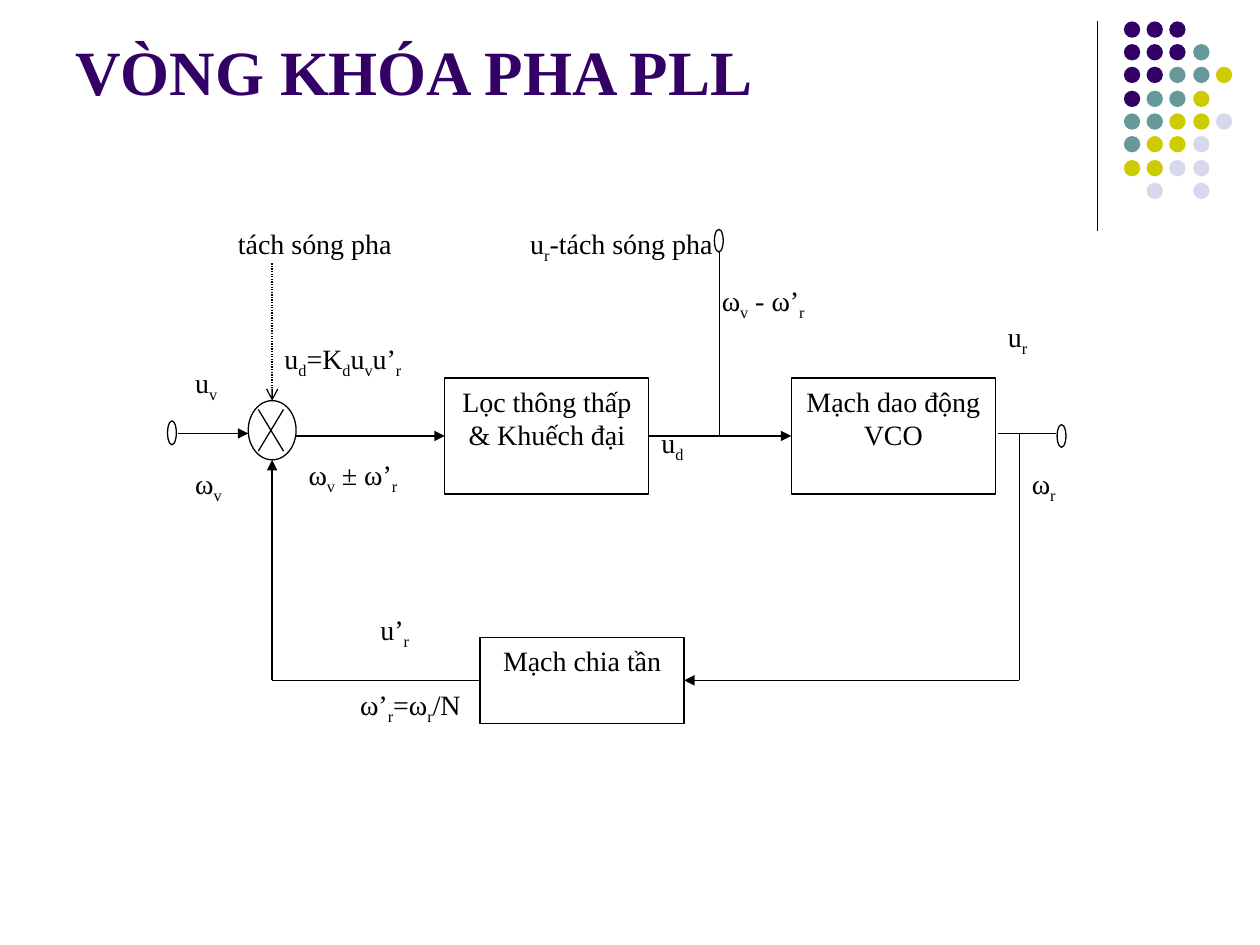
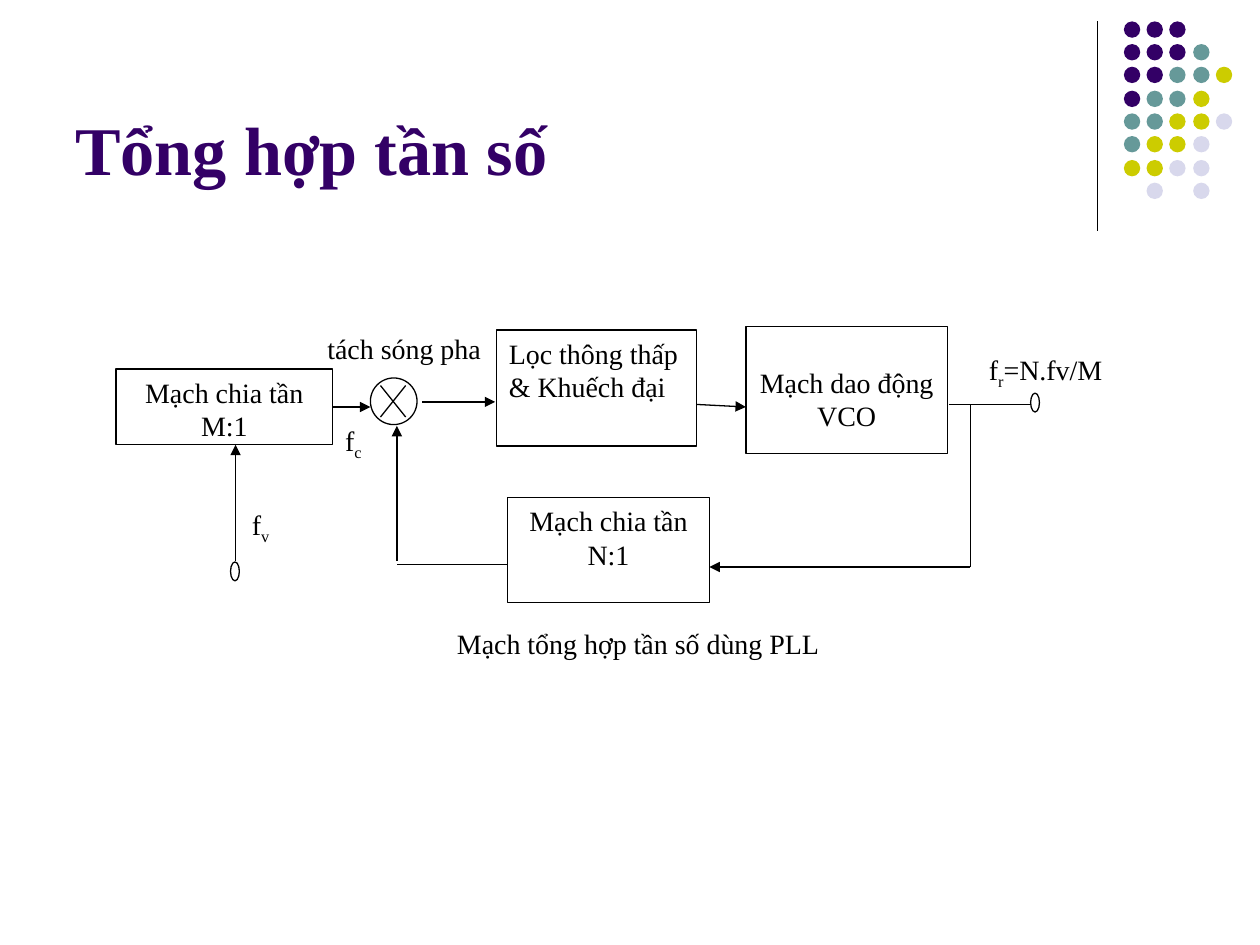
from dataclasses import dataclass
from typing import Any, NamedTuple, Optional

import lxml.etree
import pptx
import pptx.dml.color
import pptx.enum.dml
import pptx.enum.shapes
import pptx.enum.text
import pptx.oxml.ns
import pptx.util

EMU_PER_PX = 9144
SHAPE = pptx.enum.shapes.MSO_SHAPE
ALIGN = pptx.enum.text.PP_ALIGN
ANCHOR = pptx.enum.text.MSO_ANCHOR
TOP, LEFT, BOTTOM, RIGHT = range(4)


@dataclass(frozen=True)
class Theme:
    font: str = "Times New Roman"
    title: str = "330066"
    ink: str = "000000"
    paper: str = "FFFFFF"
    teal: str = "669999"
    lime: str = "CCCC00"
    lavender: str = "D8D8EC"
    body_size: int = 16
    line_width: float = 0.75


THEME = Theme()
DOT_ROWS = ("PPP", "PPPT", "PPTTY", "PTTY", "TTYYL", "TYYL", "YYLL", ".L.L")
DOT_COLOURS = {"P": THEME.title, "T": THEME.teal, "Y": THEME.lime, "L": THEME.lavender}


class Rect(NamedTuple):
    x: int
    y: int
    w: int
    h: int


class Title(NamedTuple):
    rect: Rect
    text: str
    size: int


class Block(NamedTuple):
    name: str
    rect: Rect
    lines: tuple[str, ...]
    align: Any = ALIGN.CENTER
    inset_top: int = 5
    filled: bool = True


class Label(NamedTuple):
    rect: Rect
    text: str
    align: Any = ALIGN.LEFT


class Joint(NamedTuple):
    block: str
    side: int


class Wire(NamedTuple):
    x1: int
    y1: int
    x2: int
    y2: int
    arrow: str = ""
    dotted: bool = False
    start: Optional[Joint] = None
    end: Optional[Joint] = None


class Diagram(NamedTuple):
    title: Title
    blocks: tuple[Block, ...]
    mixer: Rect
    terminals: tuple[Rect, ...]
    wires: tuple[Wire, ...]
    labels: tuple[Label, ...]


def px(n: int) -> int:
    return pptx.util.Emu(n * EMU_PER_PX)


def emu(rect: Rect) -> tuple[int, ...]:
    return tuple(px(n) for n in rect)


def rgb(value: str) -> pptx.dml.color.RGBColor:
    return pptx.dml.color.RGBColor.from_string(value)


def apply(obj: Any, values: dict[str, Any]) -> None:
    for name, value in values.items():
        setattr(obj, name, value)


def draw_line(line: Any) -> None:
    line.color.rgb = rgb(THEME.ink)
    line.width = pptx.util.Pt(THEME.line_width)


def add_runs(p: Any, text: str, size: int, colour: str, bold: bool) -> None:
    first, *rest = text.split("_")
    pieces = [(first, False)]
    for part in rest:
        pieces += [(part[0], True), (part[1:], False)]
    for piece, lowered in pieces:
        if not piece:
            continue
        r = p.add_run()
        r.text = piece
        apply(r.font, {"name": THEME.font, "size": pptx.util.Pt(size), "bold": bold})
        r.font.color.rgb = rgb(colour)
        if lowered:
            r._r.get_or_add_rPr().set("baseline", "-25000")


def write(sp: Any, lines: tuple[str, ...], align: Any, anchor: Any = ANCHOR.TOP,
          inset_top: int = 5, size: int = THEME.body_size,
          colour: str = THEME.ink, bold: bool = False) -> None:
    tf = sp.text_frame
    apply(tf, {"word_wrap": True, "vertical_anchor": anchor,
               "margin_left": px(10), "margin_right": px(10),
               "margin_top": px(inset_top), "margin_bottom": px(5)})
    for i, text in enumerate(lines):
        p = tf.add_paragraph() if i else tf.paragraphs[0]
        p.alignment = align
        add_runs(p, text, size, colour, bold)


def add_shape(s: Any, kind: Any, rect: Rect, fill: str = "", outlined: bool = True) -> Any:
    sp = s.shapes.add_shape(kind, *emu(rect))
    sp.shadow.inherit = False
    if fill:
        sp.fill.solid()
        sp.fill.fore_color.rgb = rgb(fill)
    else:
        sp.fill.background()
    if outlined:
        draw_line(sp.line)
    else:
        sp.line.fill.background()
    return sp


def add_wire(s: Any, wire: Wire, blocks: dict[str, Any]) -> None:
    c = s.shapes.add_connector(pptx.enum.shapes.MSO_CONNECTOR.STRAIGHT,
                               px(wire.x1), px(wire.y1), px(wire.x2), px(wire.y2))
    draw_line(c.line)
    if wire.dotted:
        c.line.dash_style = pptx.enum.dml.MSO_LINE.ROUND_DOT
    qn = pptx.oxml.ns.qn
    sp_pr = c._element.spPr
    if wire.arrow:
        lxml.etree.SubElement(sp_pr.find(qn("a:ln")), qn("a:tailEnd"), type=wire.arrow)
    lxml.etree.SubElement(sp_pr, qn("a:effectLst"))
    if wire.start:
        c.begin_connect(blocks[wire.start.block], wire.start.side)
    if wire.end:
        c.end_connect(blocks[wire.end.block], wire.end.side)


def add_mixer(s: Any, rect: Rect) -> None:
    add_shape(s, SHAPE.OVAL, rect, THEME.paper)
    left, right = rect.x + 8, rect.x + 28
    top, bottom = rect.y + rect.h // 6, rect.y + rect.h - rect.h // 6
    add_wire(s, Wire(left, top, right, bottom), {})
    add_wire(s, Wire(left, bottom, right, top), {})


def add_decoration(s: Any) -> None:
    add_wire(s, Wire(871, 17, 871, 183), {})
    for row, codes in enumerate(DOT_ROWS):
        for col, code in enumerate(codes):
            if code in DOT_COLOURS:
                dot = Rect(892 + 55 * col // 3, 17 + 55 * row // 3, 13, 13)
                add_shape(s, SHAPE.OVAL, dot, DOT_COLOURS[code], outlined=False)


def add_diagram(prs: Any, d: Diagram) -> None:
    s = prs.slides.add_slide(prs.slide_layouts[6])
    add_decoration(s)
    write(s.shapes.add_textbox(*emu(d.title.rect)), (d.title.text,), ALIGN.LEFT,
          ANCHOR.BOTTOM, size=d.title.size, colour=THEME.title, bold=True)
    blocks = {}
    for b in d.blocks:
        sp = add_shape(s, SHAPE.RECTANGLE, b.rect, THEME.paper if b.filled else "")
        write(sp, b.lines, b.align, inset_top=b.inset_top)
        blocks[b.name] = sp
    add_mixer(s, d.mixer)
    for terminal in d.terminals:
        add_shape(s, SHAPE.FLOWCHART_CONNECTOR, terminal, THEME.paper)
    for wire in d.wires:
        add_wire(s, wire, blocks)
    for label in d.labels:
        write(s.shapes.add_textbox(*emu(label.rect)), (label.text,), label.align)


FILTER_TEXT = ("Lọc thông thấp", "& Khuếch đại")
VCO_TEXT = ("Mạch dao động", "VCO")
DIVIDER_TEXT = "Mạch chia tần"
DETECTOR_TEXT = "tách sóng pha"

PLL = Diagram(
    title=Title(Rect(50, 38, 825, 53), "VÒNG KHÓA PHA PLL", 36),
    blocks=(
        Block("filter", Rect(353, 300, 162, 92), FILTER_TEXT),
        Block("vco", Rect(628, 300, 162, 92), VCO_TEXT),
        Block("divider", Rect(381, 506, 162, 68), (DIVIDER_TEXT,)),
    ),
    mixer=Rect(197, 318, 38, 47),
    terminals=(Rect(133, 334, 7, 19), Rect(567, 182, 7, 18), Rect(839, 337, 7, 18)),
    wires=(
        Wire(515, 346, 628, 346, "triangle",
             start=Joint("filter", RIGHT), end=Joint("vco", LEFT)),
        Wire(571, 346, 571, 200),
        Wire(235, 346, 353, 346, "triangle", end=Joint("filter", LEFT)),
        Wire(141, 344, 197, 344, "triangle"),
        Wire(381, 540, 216, 540, start=Joint("divider", LEFT)),
        Wire(216, 540, 216, 365, "triangle"),
        Wire(792, 344, 838, 344),
        Wire(809, 344, 809, 540),
        Wire(809, 540, 543, 540, "triangle", end=Joint("divider", RIGHT)),
        Wire(216, 209, 216, 318, "arrow", dotted=True),
    ),
    labels=(
        Label(Rect(809, 365, 49, 59), "ω_r"),
        Label(Rect(790, 249, 59, 78), "u_r"),
        Label(Rect(411, 175, 169, 59), "u_r-" + DETECTOR_TEXT),
        Label(Rect(563, 220, 95, 59), "ω_v - ω’_r"),
        Label(Rect(515, 333, 52, 59), "u_d"),
        Label(Rect(216, 266, 137, 59), "u_d=K_du_vu’_r"),
        Label(Rect(292, 481, 52, 59), "u’_r"),
        Label(Rect(276, 541, 105, 59), "ω’_r=ω_r/N"),
        Label(Rect(145, 285, 52, 59), "u_v"),
        Label(Rect(235, 358, 95, 59), "ω_v ± ω’_r"),
        Label(Rect(145, 365, 49, 59), "ω_v"),
        Label(Rect(179, 175, 151, 59), DETECTOR_TEXT),
    ),
)

SYNTHESIS = Diagram(
    title=Title(Rect(50, 13, 825, 142), "Tổng hợp tần số", 39),
    blocks=(
        Block("filter", Rect(394, 262, 159, 92), FILTER_TEXT, ALIGN.LEFT),
        Block("vco", Rect(592, 259, 160, 101), VCO_TEXT, inset_top=31),
        Block("divider_n", Rect(403, 395, 160, 83), (DIVIDER_TEXT, "N:1")),
        Block("divider_m", Rect(92, 293, 172, 60), (DIVIDER_TEXT, "M:1"), filled=False),
    ),
    mixer=Rect(294, 300, 37, 37),
    terminals=(Rect(183, 446, 7, 15), Rect(818, 312, 7, 15)),
    wires=(
        Wire(553, 321, 592, 323, "triangle"),
        Wire(335, 319, 393, 319, "triangle"),
        Wire(403, 448, 315, 448),
        Wire(315, 445, 315, 338, "triangle"),
        Wire(770, 321, 770, 450),
        Wire(770, 450, 563, 450, "triangle"),
        Wire(753, 321, 818, 321),
        Wire(264, 323, 294, 323, "triangle", start=Joint("divider_m", RIGHT)),
        Wire(187, 445, 187, 353, "triangle"),
    ),
    labels=(
        Label(Rect(775, 275, 125, 58), "f_r=N.fv/M"),
        Label(Rect(264, 331, 62, 58), "f_c"),
        Label(Rect(268, 492, 477, 41), "Mạch tổng hợp tần số dùng PLL", ALIGN.CENTER),
        Label(Rect(250, 258, 177, 49), DETECTOR_TEXT),
        Label(Rect(190, 398, 61, 65), "f_v"),
    ),
)


def main() -> None:
    prs = pptx.Presentation()
    apply(prs, {"slide_width": px(1000), "slide_height": px(750)})
    for diagram in (PLL, SYNTHESIS):
        add_diagram(prs, diagram)
    prs.save("out.pptx")


if __name__ == "__main__":
    main()
